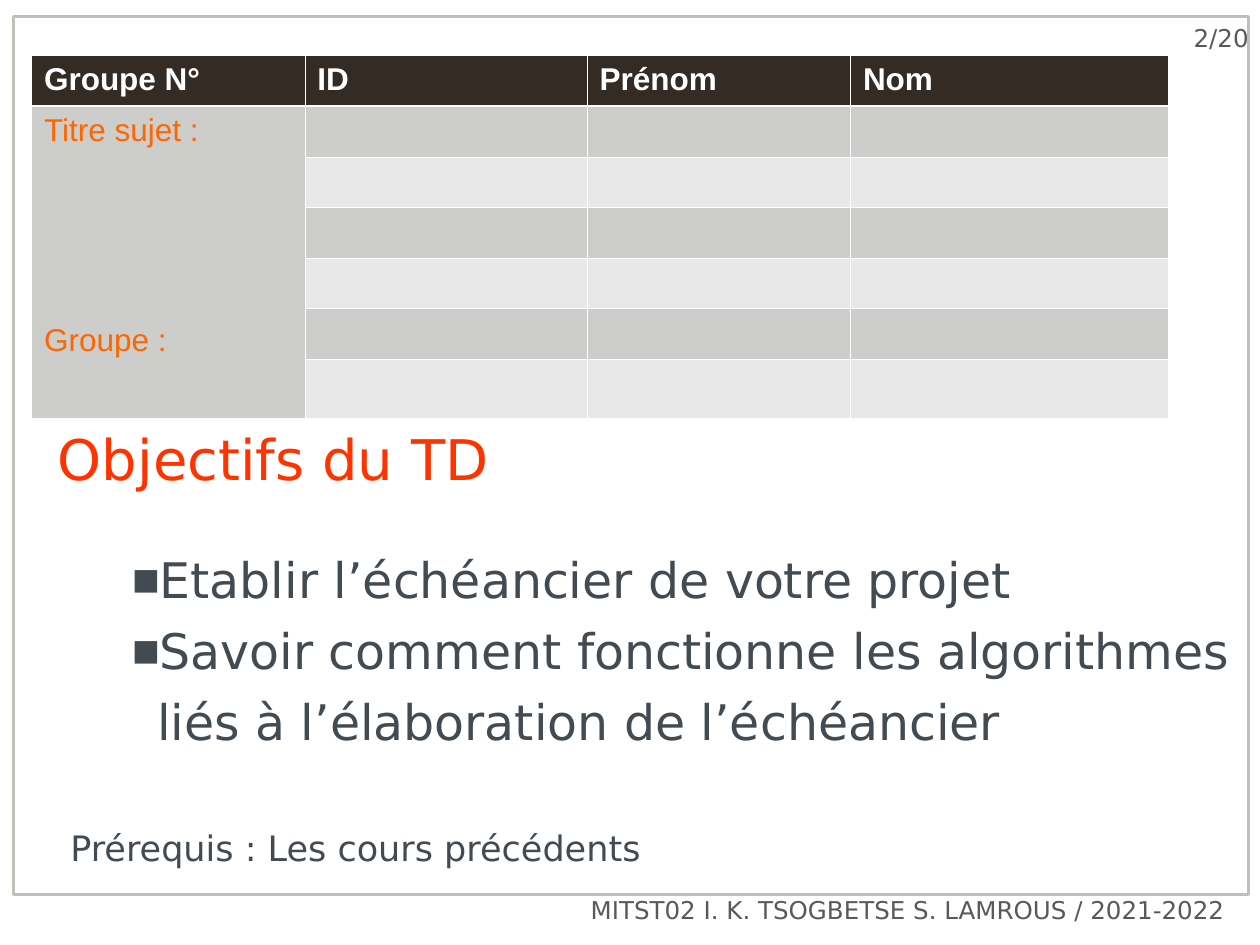
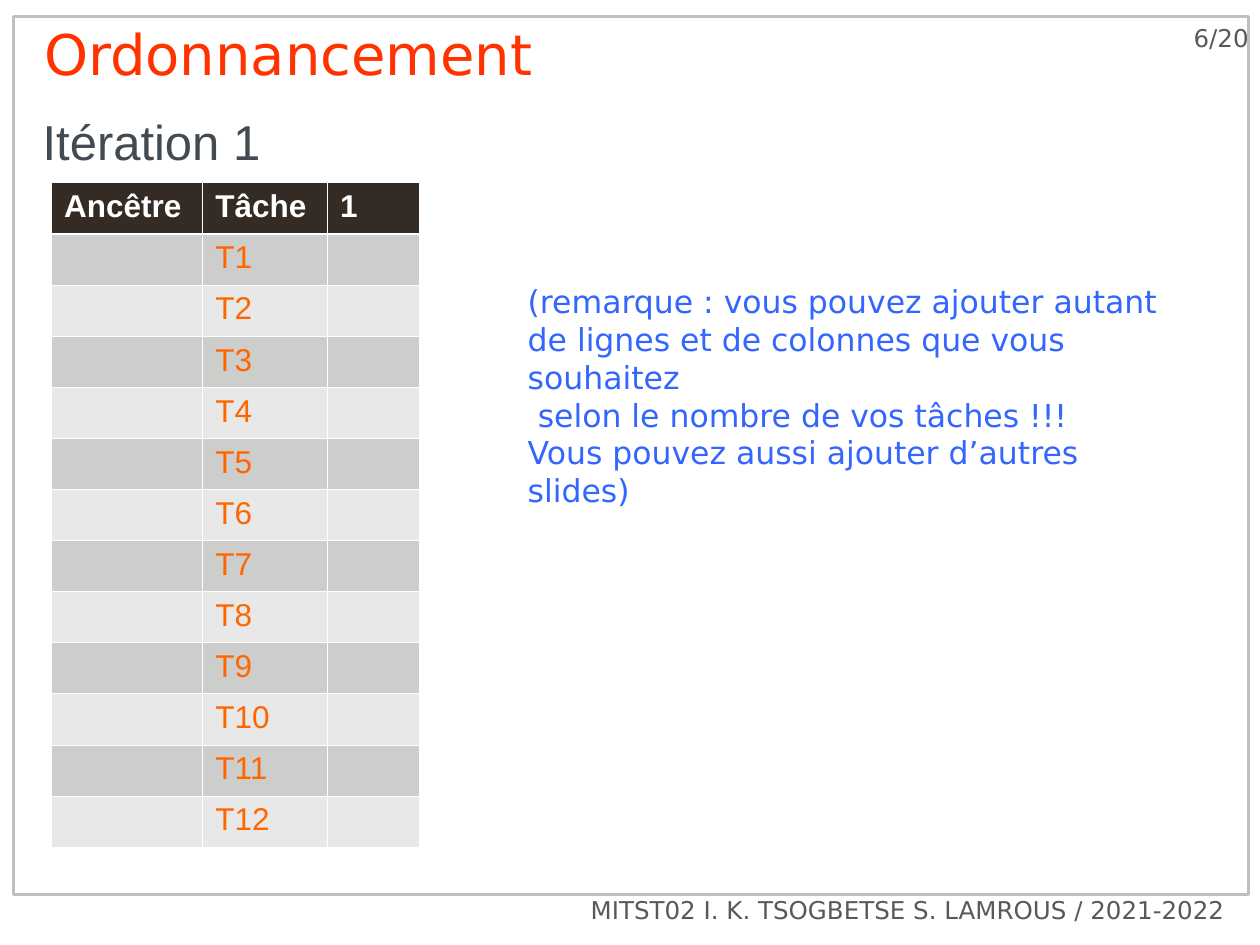
from lxml import etree
from pptx import Presentation
from pptx.dml.color import RGBColor
from pptx.enum.shapes import MSO_SHAPE
from pptx.enum.text import PP_ALIGN
from pptx.oxml.ns import qn
from pptx.util import Inches, Pt

RECT = MSO_SHAPE.RECTANGLE
LEFT, RIGHT = PP_ALIGN.LEFT, PP_ALIGN.RIGHT

# Shared look
SANS, ARIAL = "DejaVu Sans", "Arial"
RED, SLATE, GREY, BLUE = "FF3300", "424A52", "595959", "3366FF"
WHITE, DARK, ORANGE, FRAME = "FFFFFF", "332B24", "FF6600", "C2BFB8"
BANDS = ["E8E8E8", "CDCDCC"]
FOOTER = "MITST02 I. K. TSOGBETSE S. LAMROUS / 2021-2022"

deck = Presentation()
deck.slide_width, deck.slide_height = Inches(10), Inches(7.5)
# The grid has 100 columns and 100 rows
COL, ROW = deck.slide_width // 100, deck.slide_height // 100


def hue(code):
    return RGBColor.from_string(code)


def write(text, frame, size=18, font=SANS, color=SLATE, bold=False, align=LEFT,
          indent=0, hang=0, bullet=None, spacing=None, before=0):
    """Add one paragraph to a text frame, using its first one if empty."""
    first = frame.paragraphs[0]
    par = frame.add_paragraph() if first.runs else first
    props = par._p.get_or_add_pPr()
    props.set("marL", str(Inches(indent)))
    props.set("indent", str(Inches(-hang)))
    if bullet:
        tint = etree.SubElement(props, qn("a:buClr"))
        etree.SubElement(tint, qn("a:srgbClr"), val=color)
        etree.SubElement(props, qn("a:buSzPct"), val="60000")
        etree.SubElement(props, qn("a:buFont"), typeface=font)
        etree.SubElement(props, qn("a:buChar"), char=bullet)
    par.alignment = align
    par.space_before = Pt(before)
    if spacing:
        par.line_spacing = spacing
    run = par.add_run()
    run.text = text
    run.font.size, run.font.name, run.font.bold = Pt(size), font, bold
    run.font.color.rgb = hue(color)


# Content: each box is a place on the grid, its margins and its paragraphs
FULL, FLUSH, EDGE = (0.1, 0.05), (0, 0), (0, 0.05)
note = dict(size=14, color=GREY, align=RIGHT)
title = dict(size=32, color=RED, spacing=Pt(32))
goal = dict(size=28, indent=0.69, hang=0.2, bullet="■", spacing=1.2)
hint = dict(color=BLUE)
label = dict(font=ARIAL, color=ORANGE)

pages = [
    dict(
        page="2/20",
        boxes=[
            ((4.6, 46.1, 81.4, 7.7), FLUSH, [("Objectifs du TD", title)]),
            ((4.6, 56.3, 95.4, 38), FULL, [
                ("Etablir l’échéancier de votre projet", goal),
                ("Savoir comment fonctionne les algorithmes liés à "
                 "l’élaboration de l’échéancier", goal),
                ("Prérequis : Les cours précédents",
                 dict(size=20, spacing=1.2, before=39)),
            ]),
        ],
        place=(2.5, 5.9),
        heads=["Groupe N°", "ID", "Prénom", "Nom"],
        widths=[21.7, 22.4, 20.9, 25.2],
        heights=[5.35] * 6 + [6.3],
        merge=(1, 0, 6, 0),
        cells=[(1, 0, "Titre sujet :", label),
               (1, 0, "Groupe :", dict(label, before=100))],
    ),
    dict(
        page="6/20",
        boxes=[
            ((3.5, 3.3, 81.4, 7.7), FLUSH, [("Ordonnancement", title)]),
            ((2.4, 11.1, 95.2, 8.3), FULL,
             [("Itération 1", dict(size=28, font=ARIAL))]),
            ((40.9, 29.2, 53, 24), FULL, [
                ("(remarque : vous pouvez ajouter autant", hint),
                ("de lignes et de colonnes que vous souhaitez", hint),
                ("selon le nombre de vos tâches !!!",
                 dict(hint, indent=0.08)),
                ("Vous pouvez aussi ajouter d’autres slides)", hint),
            ]),
        ],
        place=(4.1, 19.35),
        heads=["Ancêtre", "Tâche", "1"],
        widths=[12, 9.9, 7.3],
        heights=[5.41] * 13,
        merge=None,
        cells=[(n, 1, f"T{n}", label) for n in range(1, 13)],
    ),
]

for page in pages:
    slide = deck.slides.add_slide(deck.slide_layouts[6])

    # Border around the page
    rim = slide.shapes.add_shape(RECT, int(1.1 * COL), int(1.75 * ROW),
                                 98 * COL, int(92.9 * ROW))
    rim.shadow.inherit = False
    rim.fill.background()
    rim.line.color.rgb = hue(FRAME)
    rim.line.width = Pt(1.5)

    # Page number, footer, title and body
    shared = [((87.9, 1.75, 11.2, 8), EDGE, [(page["page"], note)]),
              ((29, 94.1, 69.2, 5.5), FULL, [(FOOTER, note)])]
    for (x, y, w, h), (side, top), lines in shared + page["boxes"]:
        box = slide.shapes.add_textbox(int(x * COL), int(y * ROW),
                                       int(w * COL), int(h * ROW))
        frame = box.text_frame
        frame.word_wrap = True
        frame.margin_left = frame.margin_right = Inches(side)
        frame.margin_top = frame.margin_bottom = Inches(top)
        for text, style in lines:
            write(text, frame, **style)

    # Table
    x, y = page["place"]
    heads, widths, heights = page["heads"], page["widths"], page["heights"]
    grid = slide.shapes.add_table(
        len(heights), len(widths), int(x * COL), int(y * ROW),
        int(sum(widths) * COL), int(sum(heights) * ROW)).table
    grid.first_row = grid.horz_banding = False
    for column, width in zip(grid.columns, widths):
        column.width = int(width * COL)
    for r, height in enumerate(heights):
        grid.rows[r].height = int(height * ROW)
        for c in range(len(widths)):
            cell = grid.cell(r, c)
            props = cell._tc.get_or_add_tcPr()
            for edge in "LRTB":
                # The rule under the heads is thicker
                thick = (r, edge) in [(0, "B"), (1, "T")]
                line = etree.SubElement(props, qn("a:ln" + edge),
                                        w=str(Pt(1.47 if thick else 0.45)))
                fill = etree.SubElement(line, qn("a:solidFill"))
                etree.SubElement(fill, qn("a:srgbClr"), val=WHITE)
            cell.fill.solid()
            cell.fill.fore_color.rgb = hue(BANDS[r % 2] if r else DARK)
    for c, head in enumerate(heads):
        write(head, grid.cell(0, c).text_frame, font=ARIAL, color=WHITE,
              bold=True)
    if page["merge"]:
        top, left, bottom, right = page["merge"]
        grid.cell(top, left).merge(grid.cell(bottom, right))
    for r, c, text, style in page["cells"]:
        write(text, grid.cell(r, c).text_frame, **style)

deck.save("out.pptx")
